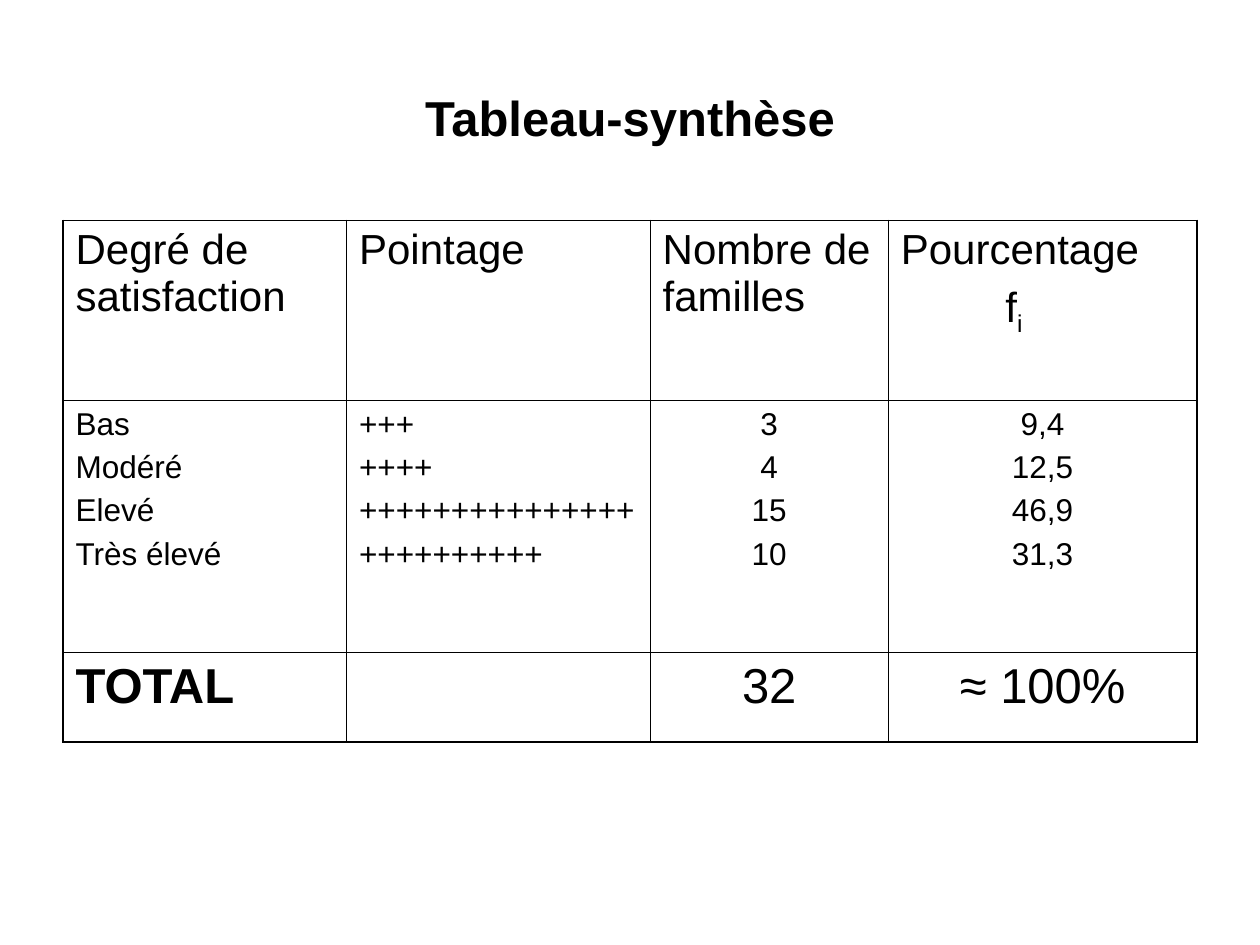
import pptx
import pptx.util
import pptx.dml.color
import pptx.enum.text
import pptx.oxml.ns
import lxml.etree

Inches = pptx.util.Inches
Pt = pptx.util.Pt
Align = pptx.enum.text.PP_ALIGN


def color(value):
    return pptx.dml.color.RGBColor.from_string(value)


def write(paragraph, text, size, bold=False, align=Align.LEFT, before=0, baseline=None):
    paragraph.alignment = align
    paragraph.space_before = Pt(before)
    run = paragraph.add_run()
    run.text = text
    run.font.name = "Arial"
    run.font.size = Pt(size)
    run.font.bold = bold
    run.font.color.rgb = color("000000")
    if baseline is not None:
        run.font._element.set("baseline", str(baseline))


presentation = pptx.Presentation()
presentation.slide_width = Inches(10)
presentation.slide_height = Inches(7.5)
slide = presentation.slides.add_slide(presentation.slide_layouts[5])
slide.background.fill.solid()
slide.background.fill.fore_color.rgb = color("FFFFFF")

title = slide.shapes.title
title.left, title.top = Inches(0.5), Inches(0.3)
title.width, title.height = Inches(9), Inches(1.25)
title.text_frame.vertical_anchor = pptx.enum.text.MSO_ANCHOR.MIDDLE
write(title.text_frame.paragraphs[0], "Tableau-synthèse", 28, bold=True, align=Align.CENTER)

column_widths = [2.25, 2.41, 1.89, 2.45]
row_heights = [1.43, 2, 0.71]
row_sizes = [24, 18, 28]
row_spacings = [6, 4.5, 7]
rows = [
    [["Degré de satisfaction"], ["Pointage"], ["Nombre de familles"], ["Pourcentage", "f"]],
    [
        ["Bas", "Modéré", "Elevé", "Très élevé"],
        ["+" * count for count in (3, 4, 15, 10)],
        ["3", "4", "15", "10"],
        ["9,4", "12,5", "46,9", "31,3"],
    ],
    [["TOTAL"], [], ["32"], ["≈ 100%"]],
]

table = slide.shapes.add_table(
    len(rows), len(column_widths), Inches(0.5), Inches(1.75), Inches(9), Inches(sum(row_heights))
).table
table.first_row = False
table.horz_banding = False
for column, width in zip(table.columns, column_widths):
    column.width = Inches(width)
for row, height in zip(table.rows, row_heights):
    row.height = Inches(height)

last_row, last_column = len(rows) - 1, len(column_widths) - 1
for row_index, row in enumerate(rows):
    for column_index, lines in enumerate(row):
        cell = table.cell(row_index, column_index)
        cell.fill.background()
        frame = cell.text_frame
        centered = row_index > 0 and column_index > 1
        for line_index, line in enumerate(lines):
            paragraph = frame.paragraphs[0] if line_index == 0 else frame.add_paragraph()
            write(
                paragraph,
                line,
                row_sizes[row_index],
                bold=line == "TOTAL",
                align=Align.CENTER if centered else Align.LEFT,
                before=row_spacings[row_index],
            )
        outer_sides = [
            ("lnL", column_index == 0),
            ("lnR", column_index == last_column),
            ("lnT", row_index == 0),
            ("lnB", row_index == last_row),
        ]
        properties = cell._tc.get_or_add_tcPr()
        for position, (side, outer) in enumerate(outer_sides):
            border = lxml.etree.Element(pptx.oxml.ns.qn("a:" + side), w=str(Pt(1.08 if outer else 0.45)))
            fill = lxml.etree.SubElement(border, pptx.oxml.ns.qn("a:solidFill"))
            lxml.etree.SubElement(fill, pptx.oxml.ns.qn("a:srgbClr"), val="000000")
            properties.insert(position, border)

symbol = table.cell(0, last_column).text_frame.paragraphs[1]
write(symbol, "i", 24, before=6, baseline=-25000)
symbol._p.get_or_add_pPr().set("marL", str(Inches(0.83)))

presentation.save("out.pptx")
